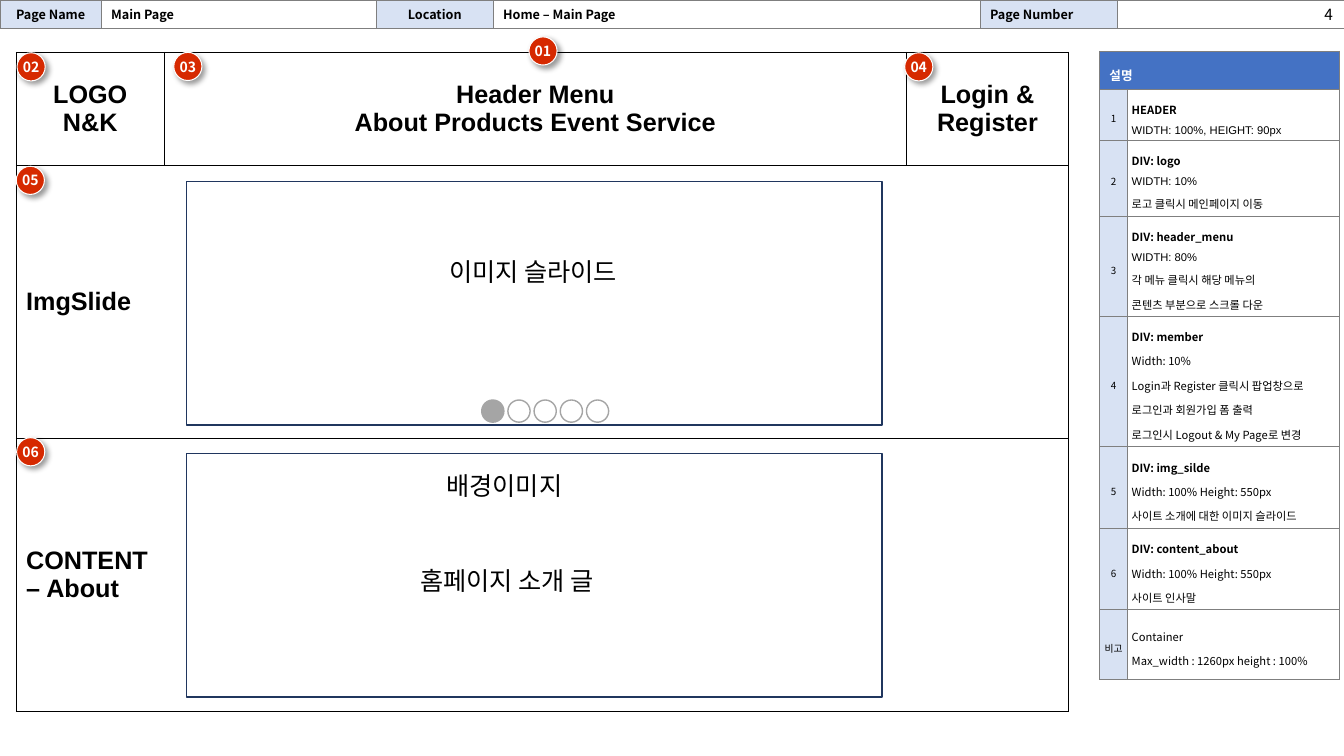
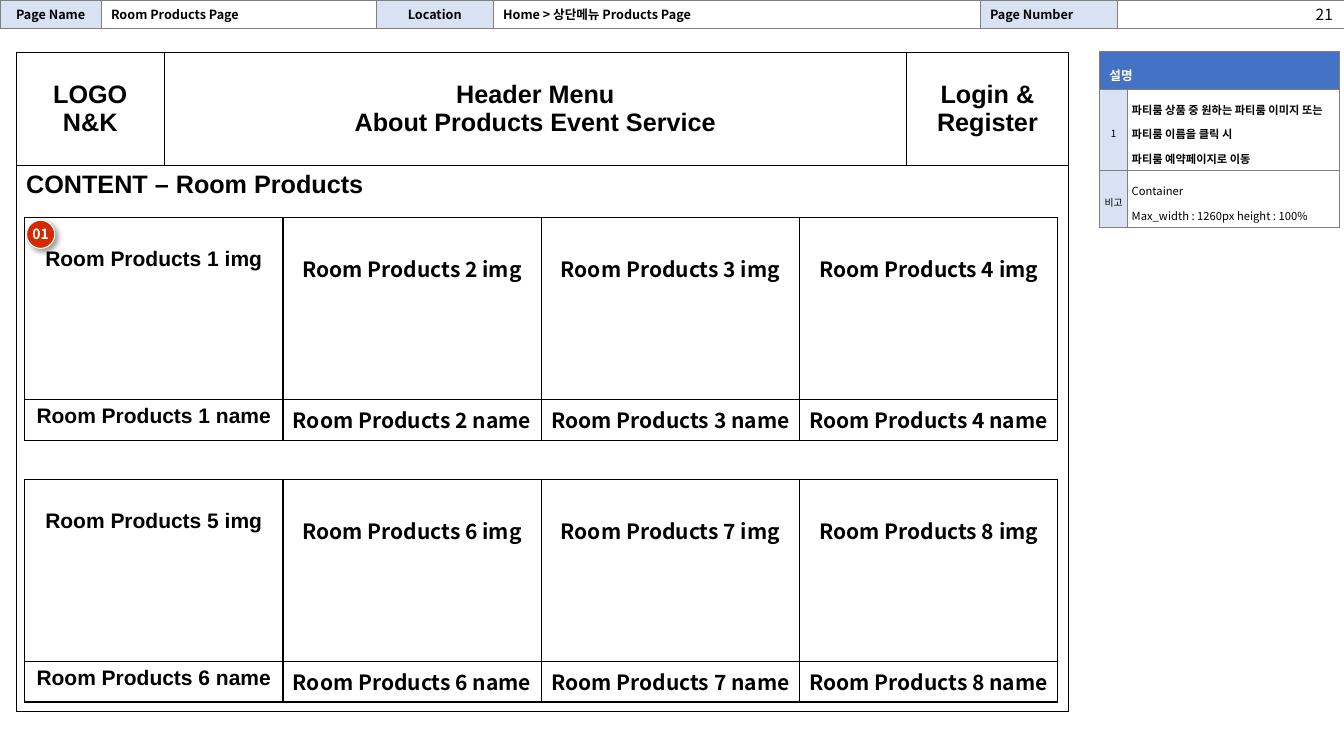
from lxml.etree import SubElement
from pptx import Presentation
from pptx.dml.color import RGBColor
from pptx.enum.shapes import MSO_SHAPE
from pptx.enum.text import MSO_ANCHOR, PP_ALIGN
from pptx.oxml.ns import qn
from pptx.util import Cm, Pt

COLORS = {
    "black": "000000",
    "white": "FFFFFF",
    "label": "D8E2F3",
    "heading": "4472C4",
    "grid": "7F7F7F",
    "badge": "D62900",
    "panel": "20365E",
    "dot": "A5A5A5",
}
SANS = "Noto Sans CJK KR"
ARIAL = "Arial"
BADGE_SIZE = 0.71
DOT_SIZE = 0.56
DOT_STEP = 0.66
CELL_MARGINS = (0.25, 0.13, 0.25, 0.13)
NO_MARGINS = (0, 0, 0, 0)
REMARK = ("비고", ["Container", "Max_width : 1260px height : 100%"], 0)


def color(name):
    return RGBColor.from_string(COLORS[name])


def write(paragraph, text, size=9, font=SANS, ink="black", bold=False,
          align=PP_ALIGN.LEFT, spacing=None):
    paragraph.alignment = align
    if spacing:
        paragraph.line_spacing = spacing
    run = paragraph.add_run()
    run.text = text
    run.font.size = Pt(size)
    run.font.name = font
    run.font.bold = bold
    run.font.color.rgb = color(ink)
    SubElement(run.font._element, qn("a:ea"), typeface=SANS)


def write_lines(frame, lines, **text_format):
    for index, line in enumerate(lines):
        paragraph = frame.add_paragraph() if index else frame.paragraphs[0]
        write(paragraph, line, **text_format)


def set_margins(target, margins):
    left, top, right, bottom = margins
    target.margin_left, target.margin_right = Cm(left), Cm(right)
    target.margin_top, target.margin_bottom = Cm(top), Cm(bottom)


class Wireframe:
    def __init__(self):
        self.presentation = Presentation()
        self.presentation.slide_width = Cm(33.87)
        self.presentation.slide_height = Cm(19.05)
        self.slide = None

    def start_slide(self, page_name, location, number):
        layout = self.presentation.slide_layouts[6]
        self.slide = self.presentation.slides.add_slide(layout)
        band = self.table(0, 0, [2.55, 6.93, 2.95, 12.27, 3.45, 5.72], [0.71])
        labels = ["Page Name", page_name, "Location", location, "Page Number"]
        for column, label in enumerate(labels):
            centered = column in (0, 2)
            self.cell(band, 0, column, [label], bold=True,
                      fill="white" if column % 2 else "label",
                      align=PP_ALIGN.CENTER if centered else PP_ALIGN.LEFT)
        self.text(28.12, 0, 5.72, 0.64, str(number), size=11, align=PP_ALIGN.RIGHT)

    def table(self, left, top, columns, rows, border="grid", width=0.75):
        graphic = self.slide.shapes.add_table(
            len(rows), len(columns), Cm(left), Cm(top), Cm(sum(columns)), Cm(sum(rows)))
        table = graphic.table
        table.first_row = table.horz_banding = False
        for column, size in zip(table.columns, columns):
            column.width = Cm(size)
        for row, size in zip(table.rows, rows):
            row.height = Cm(size)
        for cell in table.iter_cells():
            properties = cell._tc.get_or_add_tcPr()
            for side in ("a:lnL", "a:lnR", "a:lnT", "a:lnB"):
                line = SubElement(properties, qn(side), w=str(Pt(width)))
                fill = SubElement(line, qn("a:solidFill"))
                SubElement(fill, qn("a:srgbClr"), val=COLORS[border])
            cell.fill.solid()
            cell.fill.fore_color.rgb = color("white")
            SubElement(cell.text_frame.paragraphs[0]._p, qn("a:endParaRPr"), sz="900")
        return table

    def cell(self, table, row, column, lines, fill="white", margins=CELL_MARGINS,
             anchor=MSO_ANCHOR.MIDDLE, **text_format):
        cell = table.cell(row, column)
        cell.fill.solid()
        cell.fill.fore_color.rgb = color(fill)
        cell.vertical_anchor = anchor
        set_margins(cell, margins)
        write_lines(cell.text_frame, lines, **text_format)
        return cell

    def text(self, left, top, width, height, text, **text_format):
        box = self.slide.shapes.add_textbox(Cm(left), Cm(top), Cm(width), Cm(height))
        box.text_frame.word_wrap = True
        set_margins(box.text_frame, CELL_MARGINS)
        write_lines(box.text_frame, [text], **text_format)

    def shape(self, kind, left, top, width, height, fill, line, line_width=1):
        shape = self.slide.shapes.add_shape(
            kind, Cm(left), Cm(top), Cm(width), Cm(height))
        shape.shadow.inherit = False
        shape.fill.solid()
        shape.fill.fore_color.rgb = color(fill)
        shape.line.color.rgb = color(line)
        shape.line.width = Pt(line_width)
        return shape

    def badge(self, left, top, number):
        shape = self.shape(MSO_SHAPE.OVAL, left, top, BADGE_SIZE, BADGE_SIZE,
                           "badge", "white", 0.75)
        effects = shape._element.spPr.find(qn("a:effectLst"))
        shadow = SubElement(effects, qn("a:outerShdw"), blurRad=str(Pt(4)),
                            dist=str(Pt(3)), dir="2700000", algn="tl", rotWithShape="0")
        tint = SubElement(shadow, qn("a:srgbClr"), val=COLORS["black"])
        SubElement(tint, qn("a:alpha"), val="40000")
        frame = shape.text_frame
        frame.word_wrap = False
        frame.vertical_anchor = MSO_ANCHOR.MIDDLE
        set_margins(frame, NO_MARGINS)
        write_lines(frame, [f"{number:02}"], size=10, ink="white", bold=True,
                    align=PP_ALIGN.CENTER)

    def panel(self, top):
        self.shape(MSO_SHAPE.RECTANGLE, 4.7, top, 17.53, 6.14, "white", "panel")

    def dots(self, left, top, count):
        for index in range(count):
            self.shape(MSO_SHAPE.OVAL, left + index * DOT_STEP, top, DOT_SIZE, DOT_SIZE,
                       "white" if index else "dot", "dot")

    def description_table(self, descriptions, heights):
        table = self.table(27.71, 1.29, [0.71, 5.33], [0.96] + heights)
        table.cell(0, 0).merge(table.cell(0, 1))
        self.cell(table, 0, 0, ["설명"], fill="heading", ink="white", bold=True,
                  spacing=1.5)
        for row, (label, lines, bold_count) in enumerate(descriptions, start=1):
            self.cell(table, row, 0, [label], fill="label", margins=(0, 0.13, 0, 0.13),
                      size=7, align=PP_ALIGN.CENTER, spacing=1.5)
            cell = self.cell(table, row, 1, lines[:1], margins=(0.1, 0.1, 0.1, 0.1),
                             size=8, bold=bold_count > 0, spacing=1.5)
            for index, line in enumerate(lines[1:], start=1):
                write(cell.text_frame.add_paragraph(), line, size=8, spacing=1.5,
                      bold=index < bold_count,
                      font=ARIAL if line.startswith("WIDTH") else SANS)

    def layout_table(self, sections, height, anchor):
        table = self.table(0.41, 1.32, [3.73, 18.7, 4.09],
                           [2.85] + [height] * len(sections), "black")
        header = [["LOGO", "N&K"],
                  ["Header Menu", "About Products Event Service"],
                  ["Login &", "Register"]]
        for column, lines in enumerate(header):
            self.cell(table, 0, column, lines, size=18, font=ARIAL, bold=True,
                      align=PP_ALIGN.CENTER)
        for row, lines in enumerate(sections, start=1):
            table.cell(row, 0).merge(table.cell(row, 2))
            self.cell(table, row, 0, lines, anchor=anchor, size=18, font=ARIAL, bold=True)

    def product_table(self, top, image_numbers, name_numbers):
        table = self.table(0.62, top, [6.51] * 4, [4.57, 1.03], "black", 1)
        for column, (image, name) in enumerate(zip(image_numbers, name_numbers)):
            font, image_margin = (SANS, 0.89) if column else (ARIAL, 0.74)
            labels = [(f"Room Products {image} img", image_margin),
                      (f"Room Products {name} name", 0.13)]
            for row, (label, margin) in enumerate(labels):
                self.cell(table, row, column, [label], margins=(0.25, margin, 0.25, 0.13),
                          anchor=MSO_ANCHOR.TOP, size=15, font=font, bold=True,
                          align=PP_ALIGN.CENTER)


def build_main_page(wireframe):
    wireframe.start_slide("Main Page", "Home – Main Page", 4)
    descriptions = [
        ("1", ["HEADER", "WIDTH: 100%, HEIGHT: 90px"], 1),
        ("2", ["DIV: logo", "WIDTH: 10%", "로고 클릭시 메인페이지 이동"], 1),
        ("3", ["DIV: header_menu", "WIDTH: 80%", "각 메뉴 클릭시 해당 메뉴의",
               "콘텐츠 부분으로 스크롤 다운"], 1),
        ("4", ["DIV: member", "Width: 10%", "Login과 Register 클릭시 팝업창으로",
               "로그인과 회원가입 폼 출력", "로그인시 Logout & My Page로 변경"], 1),
        ("5", ["DIV: img_silde", "Width: 100% Height: 550px",
               "사이트 소개에 대한 이미지 슬라이드"], 1),
        ("6", ["DIV: content_about", "Width: 100% Height: 550px", "사이트 인사말"], 1),
        REMARK,
    ]
    wireframe.description_table(descriptions, [1.28, 1.92, 2.52, 3.28, 2.07, 2.05, 1.74])
    wireframe.layout_table([["ImgSlide"], ["CONTENT", "– About"]], 6.88,
                           MSO_ANCHOR.MIDDLE)
    badges = [(5, 0.41, 4.19), (2, 0.43, 1.33), (3, 4.38, 1.32),
              (4, 22.8, 1.33), (1, 13.33, 0.93), (6, 0.42, 11.03)]
    for number, left, top in badges:
        wireframe.badge(left, top, number)
    wireframe.panel(4.57)
    wireframe.dots(12.14, 10.08, 5)
    wireframe.panel(11.43)
    captions = [(11.07, 6.32, "이미지 슬라이드"), (11, 11.73, "배경이미지"),
                (10.34, 14.12, "홈페이지 소개 글")]
    for left, top, caption in captions:
        wireframe.text(left, top, 8.41, 1, caption, size=18)


def build_products_page(wireframe):
    wireframe.start_slide("Room Products Page", "Home > 상단메뉴 Products Page", 21)
    descriptions = [
        ("1", ["파티룸 상품 중 원하는 파티룸 이미지 또는 파티룸 이름을 클릭 시",
               "파티룸 예약페이지로 이동"], 2),
        REMARK,
    ]
    wireframe.description_table(descriptions, [2.04, 1.44])
    wireframe.layout_table([["CONTENT – Room Products"]], 13.76, MSO_ANCHOR.TOP)
    wireframe.product_table(5.49, [1, 2, 3, 4], [1, 2, 3, 4])
    wireframe.product_table(12.09, [5, 6, 7, 8], [6, 6, 7, 8])
    wireframe.badge(0.67, 5.55, 1)


def main():
    wireframe = Wireframe()
    build_main_page(wireframe)
    build_products_page(wireframe)
    wireframe.presentation.save("out.pptx")


if __name__ == "__main__":
    main()
